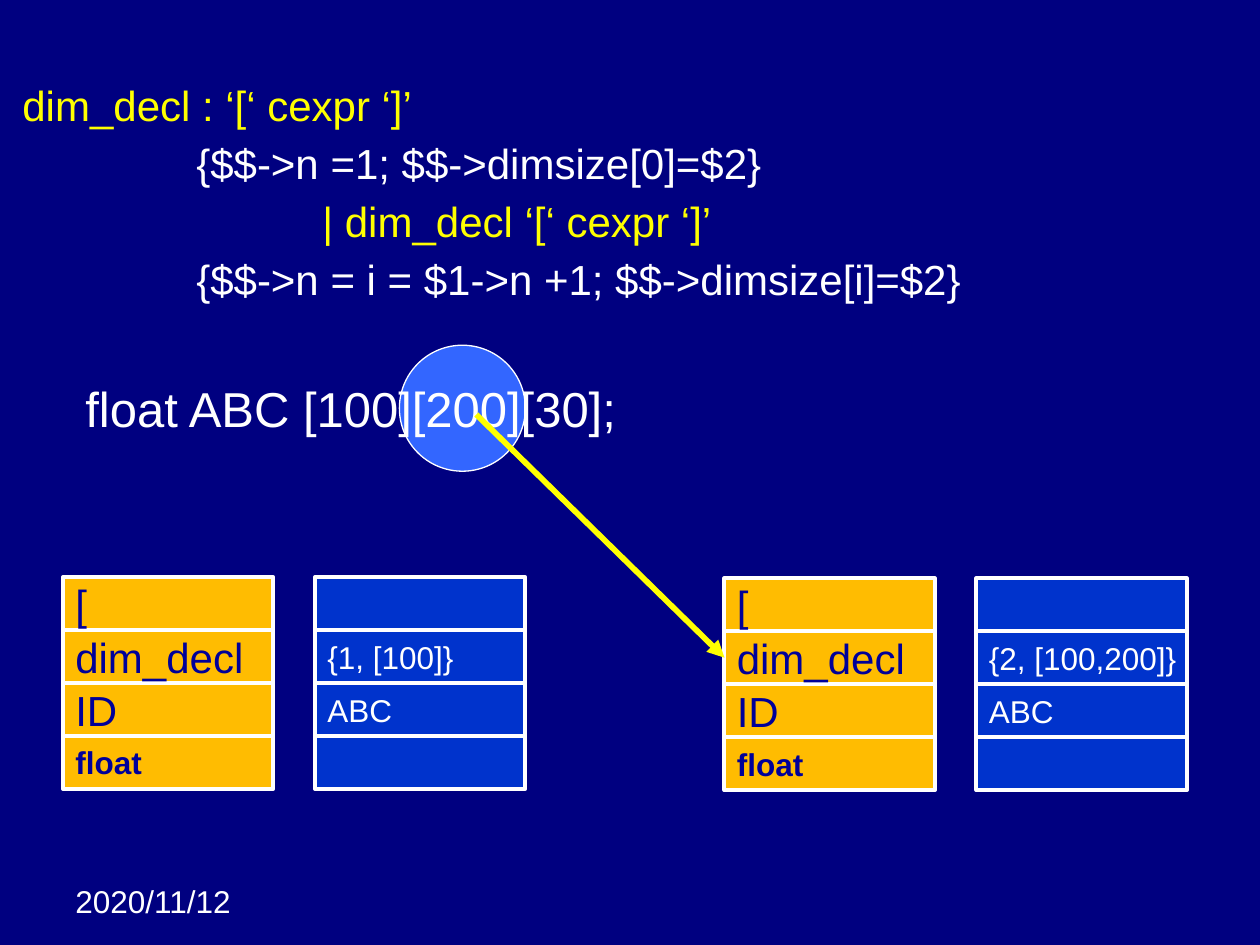
import pptx
import pptx.dml.color
import pptx.enum.shapes
import pptx.enum.text
import pptx.oxml.ns
import pptx.util
from lxml import etree

Inches = pptx.util.Inches
Pt = pptx.util.Pt
RGBColor = pptx.dml.color.RGBColor
Shapes = pptx.enum.shapes.MSO_SHAPE
Anchor = pptx.enum.text.MSO_ANCHOR
qn = pptx.oxml.ns.qn

NAVY = RGBColor(0x00, 0x00, 0x80)
WHITE = RGBColor(0xFF, 0xFF, 0xFF)
YELLOW = RGBColor(0xFF, 0xFF, 0x00)
AMBER = RGBColor(0xFF, 0xBC, 0x01)
BLUE = RGBColor(0x00, 0x33, 0xCC)
LIGHT_BLUE = RGBColor(0x33, 0x66, 0xFF)
INK = RGBColor(0x00, 0x00, 0x99)

CELL_WIDTH = 1.67
CELL_HEIGHT = 0.42
SYMBOLS = ["[", "dim_decl", "ID", "float"]


def write(para, text, size=24, color=WHITE, bold=False, indent=0, before=0, spacing=None):
    para.alignment = pptx.enum.text.PP_ALIGN.LEFT
    para.space_before = Pt(before)
    para.line_spacing = spacing
    if indent:
        properties = para._p.get_or_add_pPr()
        properties.set("marL", str(Inches(indent)))
        properties.set("indent", "0")
    span = para.add_run()
    span.text = text
    span.font.name = "Arial"
    span.font.size = Pt(size)
    span.font.color.rgb = color
    span.font.bold = bold


def add_text_box(page, left, top, width, height):
    box = page.shapes.add_textbox(Inches(left), Inches(top), Inches(width), Inches(height))
    box.text_frame.word_wrap = True
    return box.text_frame


def add_filled_shape(page, kind, left, top, width, height, fill, line_width):
    shape = page.shapes.add_shape(
        kind, Inches(left), Inches(top), Inches(width), Inches(height))
    shape.shadow.inherit = False
    shape.fill.solid()
    shape.fill.fore_color.rgb = fill
    shape.line.color.rgb = WHITE
    shape.line.width = Pt(line_width)
    return shape


def add_stack(page, left, top, texts, fill, color, size):
    """Draw a column of cells from the bottom up; keywords are small and bold."""
    for row, text in reversed(list(enumerate(texts))):
        cell = add_filled_shape(page, Shapes.RECTANGLE, left, top + row * CELL_HEIGHT,
                                CELL_WIDTH, CELL_HEIGHT, fill, 2.25)
        if text:
            keyword = text == "float"
            frame = cell.text_frame
            frame.word_wrap = False
            frame.vertical_anchor = Anchor.MIDDLE
            write(frame.paragraphs[0], text, size=18 if keyword else size,
                  color=color, bold=keyword)


def add_arrow(page, start, end, color, width):
    arrow = page.shapes.add_connector(
        pptx.enum.shapes.MSO_CONNECTOR.STRAIGHT, *map(Inches, start + end))
    arrow.line.color.rgb = color
    arrow.line.width = Pt(width)
    etree.SubElement(arrow.line._get_or_add_ln(), qn("a:tailEnd"), type="triangle")
    etree.SubElement(arrow._element.spPr, qn("a:effectLst"))


def add_grammar(page):
    frame = add_text_box(page, 0.08, 0.63, 8.5, 5.42)
    lines = [
        ("dim_decl : ‘[‘ cexpr ‘]’", YELLOW, 24, 0, 0),
        ("{$$->n =1; $$->dimsize[0]=$2}", WHITE, 24, 1.38, 7.2),
        ("| dim_decl ‘[‘ cexpr ‘]’", YELLOW, 24, 2.38, 7.2),
        ("{$$->n = i = $1->n +1; $$->dimsize[i]=$2}", WHITE, 24, 1.38, 7.2),
        ("float ABC [100][200][30];", WHITE, 28, 0.5, 45.8),
    ]
    for number, (text, color, size, indent, before) in enumerate(lines):
        para = frame.add_paragraph() if number else frame.paragraphs[0]
        write(para, text, size=size, color=color, indent=indent, before=before, spacing=0.9)


def main():
    deck = pptx.Presentation()
    deck.slide_width, deck.slide_height = Inches(10), Inches(7.5)
    page = deck.slides.add_slide(deck.slide_layouts[6])
    page.background.fill.solid()
    page.background.fill.fore_color.rgb = NAVY

    date = add_text_box(page, 0.5, 6.95, 1.58, 0.4)
    write(date.paragraphs[0], "2020/11/12", size=18)
    add_filled_shape(page, Shapes.OVAL, 3.17, 2.74, 1, 1, LIGHT_BLUE, 0.75)
    add_grammar(page)

    for left, top, dimensions in [(0.5, 4.58, "{1, [100]}"), (5.75, 4.59, "{2, [100,200]}")]:
        add_stack(page, left, top, SYMBOLS, AMBER, INK, 24)
        add_stack(page, left + 2, top, ["", dimensions, "ABC", ""], BLUE, WHITE, 18)
    add_arrow(page, (3.78, 3.29), (5.75, 5.22), YELLOW, 3.25)

    deck.save("out.pptx")


if __name__ == "__main__":
    main()
